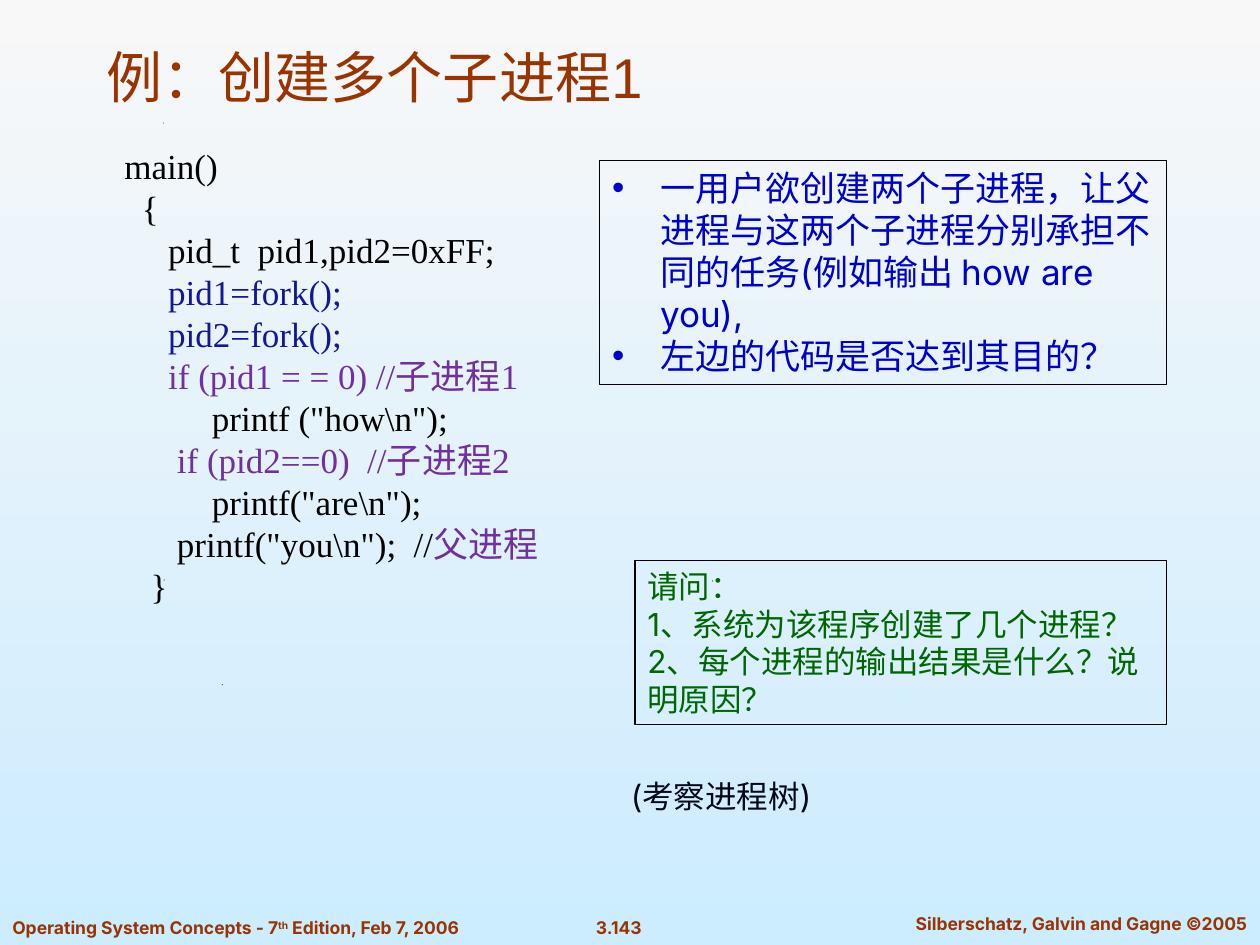
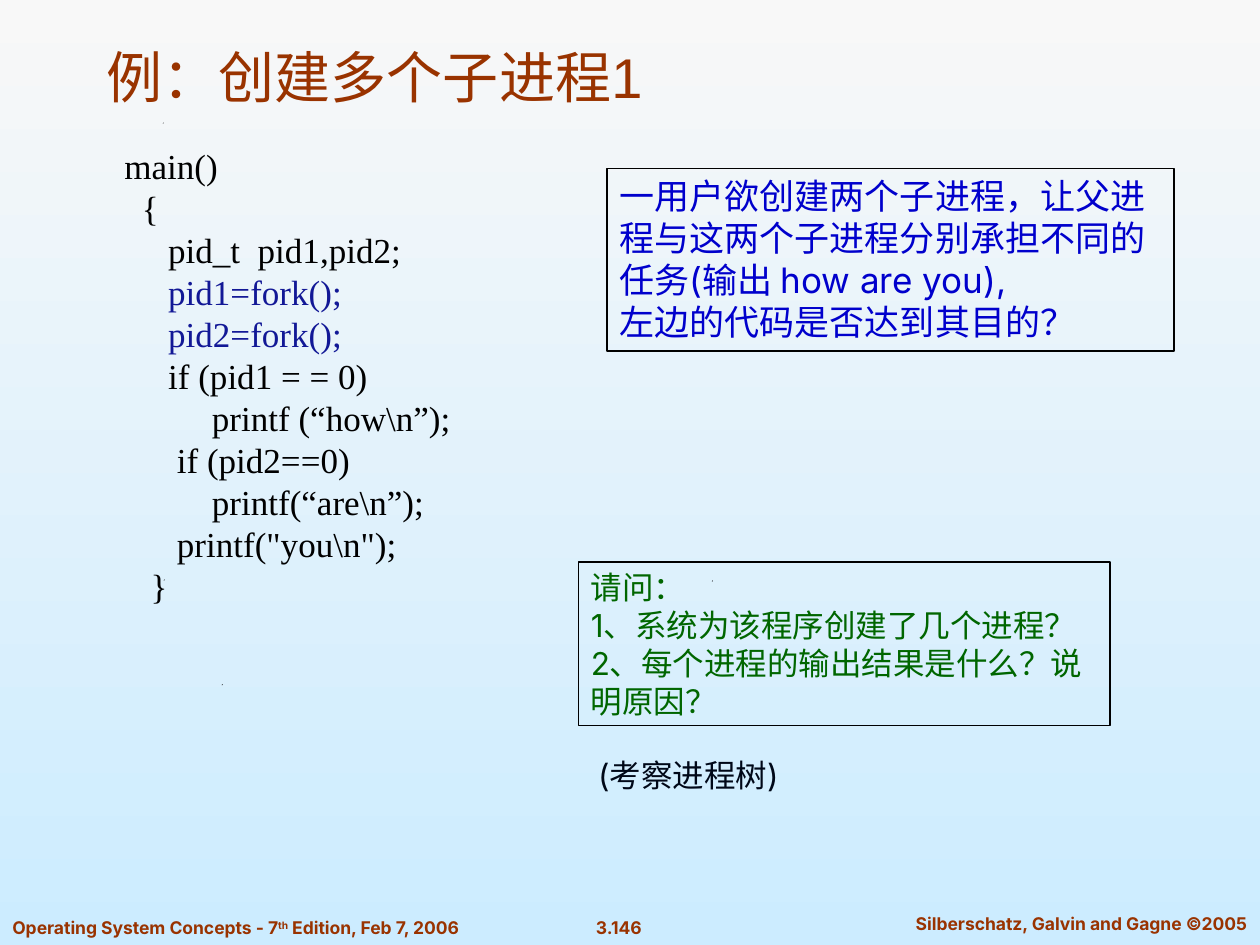
"""Build two slides that discuss a program creating several child processes."""
from lxml import etree
from pptx import Presentation
from pptx import util as u
from pptx.dml.color import RGBColor
from pptx.enum import shapes, text
from pptx.oxml import ns

RUST = RGBColor(0x99, 0x33, 0x00)
BLACK = RGBColor(0, 0, 0)
NAVY = RGBColor(0x12, 0x18, 0x96)
PURPLE = RGBColor(0x70, 0x30, 0xA0)
GREEN = RGBColor(0, 0x66, 0)
BLUE = RGBColor(0, 0, 0xCC)
INK = RGBColor(0, 0x08, 0x18)
SKY_TOP = RGBColor(0xF8, 0xF8, 0xF8)
SKY_BOTTOM = RGBColor(0xCC, 0xEC, 0xFF)

TITLE = "例：创建多个子进程1"
QUESTIONS = ["请问：", "1、系统为该程序创建了几个进程？",
             "2、每个进程的输出结果是什么？说明原因？"]
GOAL = "左边的代码是否达到其目的？"
HINT = "(考察进程树)"
EDITION = ["Operating System Concepts - 7", "th", " Edition, Feb 7, 2006"]
AUTHORS = "Silberschatz, Galvin and Gagne ©2005"
FORKS = [(5, [("pid1=fork();", NAVY)]), (5, [("pid2=fork();", NAVY)])]
OPENING = [(0, [("main()", BLACK)]), (2, [("{", BLACK)])]
CLOSING = [(3, [("}", BLACK)])]

SLIDES = [
    {
        "number": "3.143",
        "code": OPENING + [(5, [("pid_t  pid1,pid2=0xFF;", BLACK)])] + FORKS + [
            (5, [("if (pid1 = = 0) //子进程1", PURPLE)]),
            (10, [('printf ("how\\n");', BLACK)]),
            (6, [("if (pid2==0)  //子进程2", PURPLE)]),
            (10, [('printf("are\\n");', BLACK)]),
            (6, [('printf("you\\n");  //', BLACK), ("父进程", PURPLE)]),
        ] + CLOSING,
        "code_box": (2.26, 2.79, 10.26, 14.66),
        "task": ["一用户欲创建两个子进程，让父进程与这两个子进程分别承担不同的任务"
                 "(例如输出 how are you),", GOAL],
        "task_box": (12.09, 3.23, 11.43, 4.52),
        "bulleted": True,
        "question_box": (12.8, 11.3, 10.72, 3.3),
        "hint_box": (12.47, 15.54, 4.14, 1.02),
    },
    {
        "number": "3.146",
        "code": OPENING + [(5, [("pid_t  pid1,pid2;", BLACK)])] + FORKS + [
            (5, [("if (pid1 = = 0)", BLACK)]),
            (10, [("printf (“how\\n”);", BLACK)]),
            (6, [("if (pid2==0)", BLACK)]),
            (10, [("printf(“are\\n”);", BLACK)]),
            (6, [('printf("you\\n");', BLACK)]),
        ] + CLOSING,
        "code_box": (2.26, 2.79, 8.33, 9.98),
        "task": ["一用户欲创建两个子进程，让父进程与这两个子进程分别承担不同的任务"
                 "(输出 how are you),", GOAL],
        "task_box": (12.24, 3.4, 11.43, 3.68),
        "bulleted": False,
        "question_box": (11.66, 11.33, 10.72, 3.3),
        "hint_box": (11.81, 15.11, 4.14, 1.02),
    },
]
NUMBER_BOX = (11.66, 18.36, 1.63, 0.69)
AUTHORS_BOX = (18.03, 18.29, 7.54, 0.69)
EDITION_BOX = (0, 18.36, 10.39, 0.69)
SPECKS = [(4.47, 13.79), (3.3, 11.68), (14.35, 11.7), (3.28, 2.47)]
SPECK_SIZE = 0.02
SPACE_WIDTH = 5
BULLET_INDENT = 0.97


def lengths(box):
    return [u.Cm(value) for value in box]


def format_run(run, font, size, color, bold=False):
    run.font.name, run.font.size, run.font.bold = font, u.Pt(size), bold
    run.font.color.rgb = color


def fill_frame(shape, lines, font, size, color, bold=False, align=text.PP_ALIGN.LEFT):
    frame = shape.text_frame
    frame.word_wrap = True
    frame.vertical_anchor = text.MSO_ANCHOR.TOP
    frame.text = "\n".join(lines)
    for paragraph in frame.paragraphs:
        paragraph.alignment = align
        for run in paragraph.runs:
            format_run(run, font, size, color, bold)


def add_text(slide, box, *style, **options):
    shape = slide.shapes.add_textbox(*lengths(box))
    fill_frame(shape, *style, **options)
    return shape


def add_frame(slide, box, *style):
    shape = slide.shapes.add_shape(shapes.MSO_SHAPE.RECTANGLE, *lengths(box))
    shape.shadow.inherit = False
    shape.fill.background()
    shape.line.color.rgb, shape.line.width = BLACK, u.Pt(0.75)
    fill_frame(shape, *style)
    return shape


def add_bullets(shape):
    for paragraph in shape.text_frame.paragraphs:
        properties = paragraph._p.get_or_add_pPr()
        properties.set("marL", str(u.Cm(BULLET_INDENT)))
        properties.set("indent", str(-u.Cm(BULLET_INDENT)))
        etree.SubElement(properties, ns.qn("a:buFont")).set("typeface", "Arial")
        etree.SubElement(properties, ns.qn("a:buChar")).set("char", "•")


def add_code(slide, box, lines):
    frame = slide.shapes.add_textbox(*lengths(box)).text_frame
    frame.word_wrap = True
    for index, (spaces, parts) in enumerate(lines):
        paragraph = frame.add_paragraph() if index else frame.paragraphs[0]
        paragraph.line_spacing = u.Pt(24)
        paragraph._p.get_or_add_pPr().set("marL", str(u.Pt(spaces * SPACE_WIDTH)))
        for words, color in parts:
            run = paragraph.add_run()
            run.text = words
            format_run(run, "Times New Roman", 20, color)


def add_specks(slide):
    for left, top in SPECKS:
        right, bottom = left + SPECK_SIZE, top + SPECK_SIZE
        builder = slide.shapes.build_freeform(u.Cm(left), u.Cm(bottom))
        builder.add_line_segments([(u.Cm(right), u.Cm(top)), (u.Cm(right), u.Cm(bottom))])
        speck = builder.convert_to_shape()
        speck.shadow.inherit = False
        speck.fill.solid()
        speck.fill.fore_color.rgb = BLACK
        speck.line.fill.background()


def add_footers(slide, number):
    style = ("Inter", 10, RUST, True)
    add_text(slide, NUMBER_BOX, [number], *style, align=text.PP_ALIGN.CENTER)
    add_text(slide, AUTHORS_BOX, [AUTHORS], *style, align=text.PP_ALIGN.CENTER)
    edition = add_text(slide, EDITION_BOX, EDITION[:1], *style)
    for words in EDITION[1:]:
        run = edition.text_frame.paragraphs[0].add_run()
        run.text = words
        format_run(run, *style)
    ordinal = edition.text_frame.paragraphs[0].runs[1]
    ordinal.font._element.set("baseline", "30000")


def place_title(slide):
    title = slide.shapes.title
    title.left, title.top, title.width, title.height = lengths((1.9, 0.64, 22.43, 1.7))
    fill_frame(title, [TITLE], "Arial", 32, RUST)
    title.text_frame.vertical_anchor = text.MSO_ANCHOR.BOTTOM


def paint_background(master):
    fill = master.background.fill
    fill.gradient()
    fill.gradient_angle = 270
    for stop, color in zip(fill.gradient_stops, (SKY_TOP, SKY_BOTTOM)):
        stop.color.rgb = color


def build_slide(presentation, content):
    slide = presentation.slides.add_slide(presentation.slide_layouts[5])
    place_title(slide)
    add_footers(slide, content["number"])
    add_specks(slide)
    add_code(slide, content["code_box"], content["code"])
    add_frame(slide, content["question_box"], QUESTIONS, "Inter", 18, GREEN)
    task = add_frame(slide, content["task_box"], content["task"], "Inter", 20, BLUE)
    if content["bulleted"]:
        add_bullets(task)
    add_text(slide, content["hint_box"], [HINT], "Inter", 18, INK)


presentation = Presentation()
presentation.slide_width, presentation.slide_height = u.Cm(25.4), u.Cm(19.05)
paint_background(presentation.slide_master)
for content in SLIDES:
    build_slide(presentation, content)
presentation.save("out.pptx")
